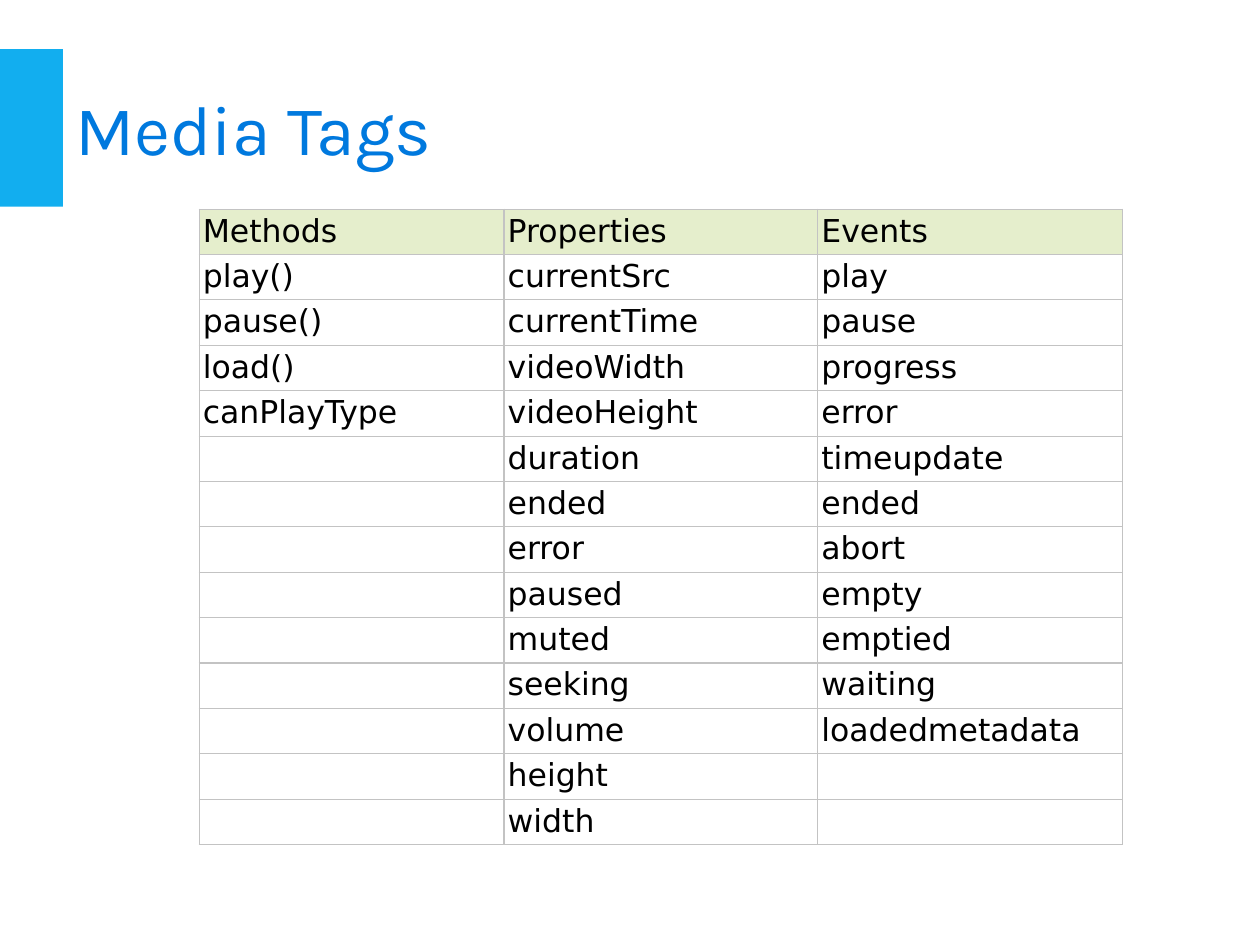
from dataclasses import dataclass
from itertools import zip_longest

from lxml import etree
from pptx import Presentation
from pptx.dml.color import RGBColor
from pptx.enum.shapes import MSO_SHAPE
from pptx.enum.text import MSO_ANCHOR
from pptx.oxml.ns import qn
from pptx.util import Inches, Pt

RECTANGLE = MSO_SHAPE.RECTANGLE
MIDDLE = MSO_ANCHOR.MIDDLE
TOP = MSO_ANCHOR.TOP

SLIDE_WIDTH, SLIDE_HEIGHT = 10, 7.5
BAND_TOP, BAND_HEIGHT = 0.39, 1.25
ACCENT_WIDTH = 0.05 * SLIDE_WIDTH
TITLE_WIDTH = 0.9 * SLIDE_WIDTH
TABLE_LEFT, TABLE_TOP = 1.58, 1.66
COLUMN_WIDTHS = (2.42, 2.49, 2.42)
ROW_HEIGHT = 0.35
CELL_INSET = 0.03

MEDIA_MEMBERS = {
    "Methods": ["play()", "pause()", "load()", "canPlayType"],
    "Properties": [
        "currentSrc", "currentTime", "videoWidth", "videoHeight", "duration",
        "ended", "error", "paused", "muted", "seeking", "volume", "height", "width",
    ],
    "Events": [
        "play", "pause", "progress", "error", "timeupdate", "ended", "abort",
        "empty", "emptied", "waiting", "loadedmetadata",
    ],
}


@dataclass(frozen=True)
class Theme:
    accent: str = "12AEEF"
    title: str = "0079DE"
    text: str = "000000"
    header: str = "E5EECC"
    body: str = "FFFFFF"
    border: str = "C3C3C3"
    title_font: str = "Karla"
    table_font: str = "DejaVu Sans"
    title_size: float = 40
    table_size: float = 18
    border_width: float = 0.75


THEME = Theme()


def paint(fill, color):
    fill.solid()
    fill.fore_color.rgb = RGBColor.from_string(color)


def add_run(paragraph, text, font_name, size, color):
    run = paragraph.add_run()
    run.text = text
    run.font.name = font_name
    run.font.size = Pt(size)
    run.font.color.rgb = RGBColor.from_string(color)


def add_accent(slide):
    shape = slide.shapes.add_shape(
        RECTANGLE, 0, Inches(BAND_TOP), Inches(ACCENT_WIDTH), Inches(BAND_HEIGHT))
    shape.shadow.inherit = False
    paint(shape.fill, THEME.accent)
    shape.line.fill.background()


def add_title(slide, text):
    box = slide.shapes.add_textbox(
        Inches(ACCENT_WIDTH), Inches(BAND_TOP), Inches(TITLE_WIDTH), Inches(BAND_HEIGHT))
    frame = box.text_frame
    frame.word_wrap = True
    frame.vertical_anchor = MIDDLE
    add_run(frame.paragraphs[0], text, THEME.title_font, THEME.title_size, THEME.title)


def add_borders(cell):
    properties = cell._tc.get_or_add_tcPr()
    for position, side in enumerate(("lnL", "lnR", "lnT", "lnB")):
        line = etree.Element(qn(f"a:{side}"), w=str(Pt(THEME.border_width)))
        fill = etree.SubElement(line, qn("a:solidFill"))
        etree.SubElement(fill, qn("a:srgbClr"), val=THEME.border)
        properties.insert(position, line)


def fill_cell(cell, text, color):
    cell.margin_left = cell.margin_right = Inches(CELL_INSET)
    cell.margin_top = cell.margin_bottom = Inches(CELL_INSET)
    cell.vertical_anchor = TOP
    paint(cell.fill, color)
    add_borders(cell)
    if text:
        add_run(cell.text_frame.paragraphs[0], text,
                THEME.table_font, THEME.table_size, THEME.text)


def add_member_table(slide, members):
    rows = [tuple(members), *zip_longest(*members.values(), fillvalue="")]
    frame = slide.shapes.add_table(
        len(rows), len(members), Inches(TABLE_LEFT), Inches(TABLE_TOP),
        Inches(sum(COLUMN_WIDTHS)), Inches(ROW_HEIGHT * len(rows)))
    table = frame.table
    table.horz_banding = False
    table.first_row = False
    for column, width in zip(table.columns, COLUMN_WIDTHS):
        column.width = Inches(width)
    for row_index, texts in enumerate(rows):
        table.rows[row_index].height = Inches(ROW_HEIGHT)
        color = THEME.body if row_index else THEME.header
        for column_index, text in enumerate(texts):
            fill_cell(table.cell(row_index, column_index), text, color)


def main():
    presentation = Presentation()
    presentation.slide_width = Inches(SLIDE_WIDTH)
    presentation.slide_height = Inches(SLIDE_HEIGHT)
    slide = presentation.slides.add_slide(presentation.slide_layouts[6])
    add_accent(slide)
    add_title(slide, "Media Tags")
    add_member_table(slide, MEDIA_MEMBERS)
    presentation.save("out.pptx")


main()
